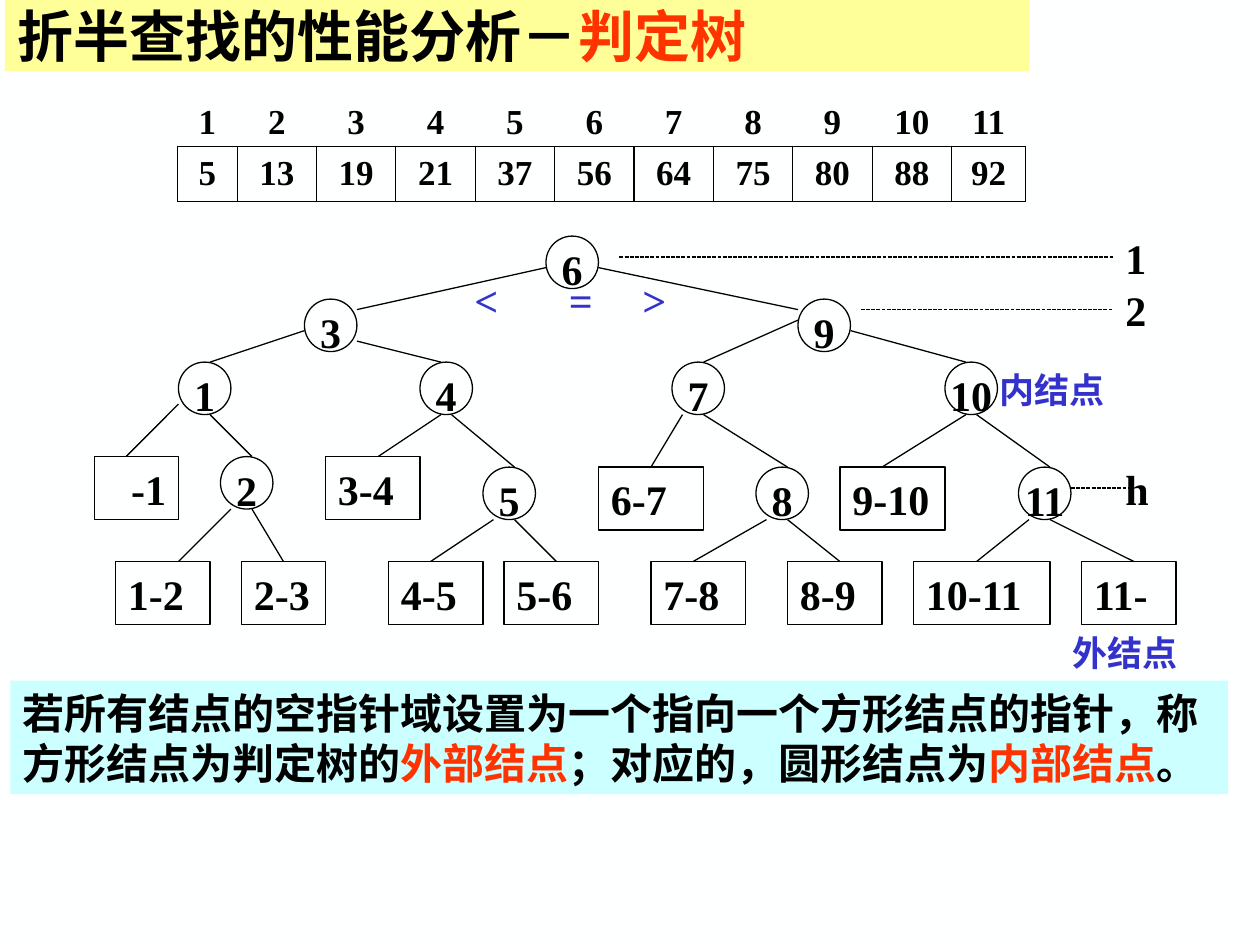
from lxml import etree
from pptx import Presentation
from pptx.dml.color import RGBColor
from pptx.enum.dml import MSO_LINE
from pptx.enum.shapes import MSO_CONNECTOR, MSO_SHAPE
from pptx.enum.text import MSO_ANCHOR, MSO_AUTO_SIZE, PP_ALIGN
from pptx.oxml.ns import qn
from pptx.util import Cm, Pt

LEFT, CENTER, RIGHT = PP_ALIGN.LEFT, PP_ALIGN.CENTER, PP_ALIGN.RIGHT
TOP, MIDDLE = MSO_ANCHOR.TOP, MSO_ANCHOR.MIDDLE
DOT = MSO_LINE.SQUARE_DOT
STRAIGHT = MSO_CONNECTOR.STRAIGHT
RECT, OVAL = MSO_SHAPE.RECTANGLE, MSO_SHAPE.OVAL
SANS, SERIF = "Noto Sans CJK SC", "Times New Roman"
BLACK, RED, BLUE = "000000", "FF3300", "3333CC"
rgb = RGBColor.from_string

U = Cm(2.54) // 12
TREE_TOP = Cm(4.76)
BOX = {"margin_left": Cm(0.25), "margin_right": Cm(0.25),
       "margin_top": Cm(0.13), "margin_bottom": Cm(0.13),
       "word_wrap": True, "auto_size": MSO_AUTO_SIZE.NONE,
       "vertical_anchor": TOP}
NODE = {"margin_left": 0, "margin_right": 0, "margin_top": 0,
        "margin_bottom": 0, "word_wrap": False, "vertical_anchor": TOP}


def write(tf, runs, size, font=SERIF, align=LEFT, frame=BOX):
    for name, value in frame.items():
        setattr(tf, name, value)
    p = tf.paragraphs[0]
    p.alignment = align
    for text, color in runs:
        r = p.add_run()
        r.text = text
        fmt = {"size": Pt(size), "name": font, "bold": True}
        for name, value in fmt.items():
            setattr(r.font, name, value)
        r.font.color.rgb = rgb(color)
        ea = etree.SubElement(r.font._element, qn("a:ea"))
        ea.set("typeface", SANS)


def connect(x1, y1, x2, y2, dash=None):
    c = s.shapes.add_connector(STRAIGHT, x1 * U, TREE_TOP + y1 * U,
                               x2 * U, TREE_TOP + y2 * U)
    c.line.color.rgb = rgb(BLACK)
    c.line.width = Pt(0.75)
    c.line.dash_style = dash
    etree.SubElement(c._element.spPr, qn("a:effectLst"))


prs = Presentation()
prs.slide_width, prs.slide_height = Cm(25.4), Cm(19.05)
s = prs.slides.add_slide(prs.slide_layouts[5])
s.background.fill.solid()
s.background.fill.fore_color.rgb = rgb("FEFFFF")

title = s.shapes.title
title.left, title.top, title.width, title.height = Cm(0.1), 0, Cm(20.64), Cm(1.43)
title.fill.solid()
title.fill.fore_color.rgb = rgb("FFFF99")
write(title.text_frame, [("折半查找的性能分析－", BLACK), ("判定树", RED)], 32, SANS,
      frame={**BOX, "vertical_anchor": MIDDLE})

keys = [5, 13, 19, 21, 37, 56, 64, 75, 80, 88, 92]
widths = [1.2] + [1.6] * 9 + [1.5]
table = s.shapes.add_table(2, len(keys), Cm(3.58), Cm(1.98), Cm(17.1), Cm(2.08)).table
table.first_row = table.horz_banding = False
table.rows[0].height, table.rows[1].height = Cm(0.97), Cm(1.11)
for i, (key, width) in enumerate(zip(keys, widths)):
    table.columns[i].width = Cm(width)
    for row, value, sides in ((0, i + 1, ["lnB"]), (1, key, ["lnL", "lnR", "lnT", "lnB"])):
        cell = table.cell(row, i)
        write(cell.text_frame, [(str(value), BLACK)], 20, align=CENTER, frame={})
        cell.vertical_anchor = MIDDLE
        cell.margin_left = cell.margin_right = cell.margin_top = cell.margin_bottom = 0
        tcPr = cell._tc.get_or_add_tcPr()
        for side in sides:
            ln = etree.SubElement(tcPr, qn("a:" + side), w=str(Pt(0.75)))
            fill = etree.SubElement(ln, qn("a:solidFill"))
            etree.SubElement(fill, qn("a:srgbClr"), val=BLACK)
        cell.fill.background()

inner = [("6", 52, 0), ("3", 29, 6), ("9", 76, 6), ("1", 17, 12), ("4", 40, 12),
         ("7", 64, 12), ("10", 90, 12), ("2", 21, 21), ("5", 46, 22),
         ("8", 72, 22), ("11", 97, 22)]
outer = [("-1", 9, 21, 8), ("3-4", 31, 21, 9), ("6-7", 57, 22, 10),
         ("9-10", 80, 22, 10), ("1-2", 11, 31, 9), ("2-3", 23, 31, 8),
         ("4-5", 37, 31, 9), ("5-6", 48, 31, 9), ("7-8", 62, 31, 9),
         ("8-9", 75, 31, 9), ("10-11", 87, 31, 13), ("11-", 103, 31, 9)]
nodes = [(OVAL, text, x, y, 5, 5, CENTER, NODE) for text, x, y in inner]
nodes += [(RECT, text, x, y, w, 6, RIGHT if text == "-1" else LEFT, BOX)
          for text, x, y, w in outer]
for kind, text, x, y, w, h, align, frame in nodes:
    sp = s.shapes.add_shape(kind, x * U, TREE_TOP + y * U, w * U, h * U)
    sp.shadow.inherit = False
    sp.fill.background()
    sp.line.color.rgb = rgb(BLACK)
    sp.line.width = Pt(0.75)
    write(sp.text_frame, [(text, BLACK)], 24, align=align, frame=frame)

edges = [(52, 3, 34, 7), (57, 3, 76, 7), (29, 9, 20, 12), (34, 10, 42, 12),
         (76, 8, 67, 12), (81, 9, 92, 12), (17, 16, 12, 21), (20, 17, 24, 21),
         (42, 17, 36, 21), (43, 17, 49, 22), (65, 17, 62, 22), (67, 17, 75, 22),
         (92, 17, 84, 22), (93, 17, 100, 22), (22, 26, 17, 31), (24, 26, 27, 31),
         (47, 27, 41, 31), (49, 27, 53, 31), (73, 27, 66, 31), (75, 27, 80, 31),
         (98, 27, 93, 31), (100, 27, 108, 31)]
for edge in edges:
    connect(*edge)
for x1, x2, y in ((59, 106, 2), (82, 106, 7), (102, 108, 24)):
    connect(x1, y, x2, y, DOT)

labels = [("1", 106, -1, 6, 24, BLACK), ("2", 106, 4, 7, 24, BLACK),
          ("h", 106, 21, 6, 24, BLACK), ("<", 44, 3, 6, 24, BLUE),
          ("=", 53, 3, 7, 24, BLUE), (">", 60, 3, 9, 24, BLUE),
          ("外结点", 101, 37, 13, 20, BLUE), ("内结点", 94, 12, 13, 20, BLUE)]
for text, x, y, w, size, color in labels:
    sp = s.shapes.add_textbox(x * U, TREE_TOP + y * U, w * U, 6 * U)
    write(sp.text_frame, [(text, color)], size)

sp = s.shapes.add_textbox(Cm(0.21), Cm(13.72), Cm(24.55), Cm(2.29))
sp.fill.solid()
sp.fill.fore_color.rgb = rgb("CCFFFF")
write(sp.text_frame, [
    ("若所有结点的空指针域设置为一个指向一个方形结点的指针，称方形结点为判定树的", BLACK),
    ("外部结点", RED), ("；对应的，圆形结点为", BLACK), ("内部结点", RED), ("。", BLACK),
], 24, SANS)

prs.save("out.pptx")
